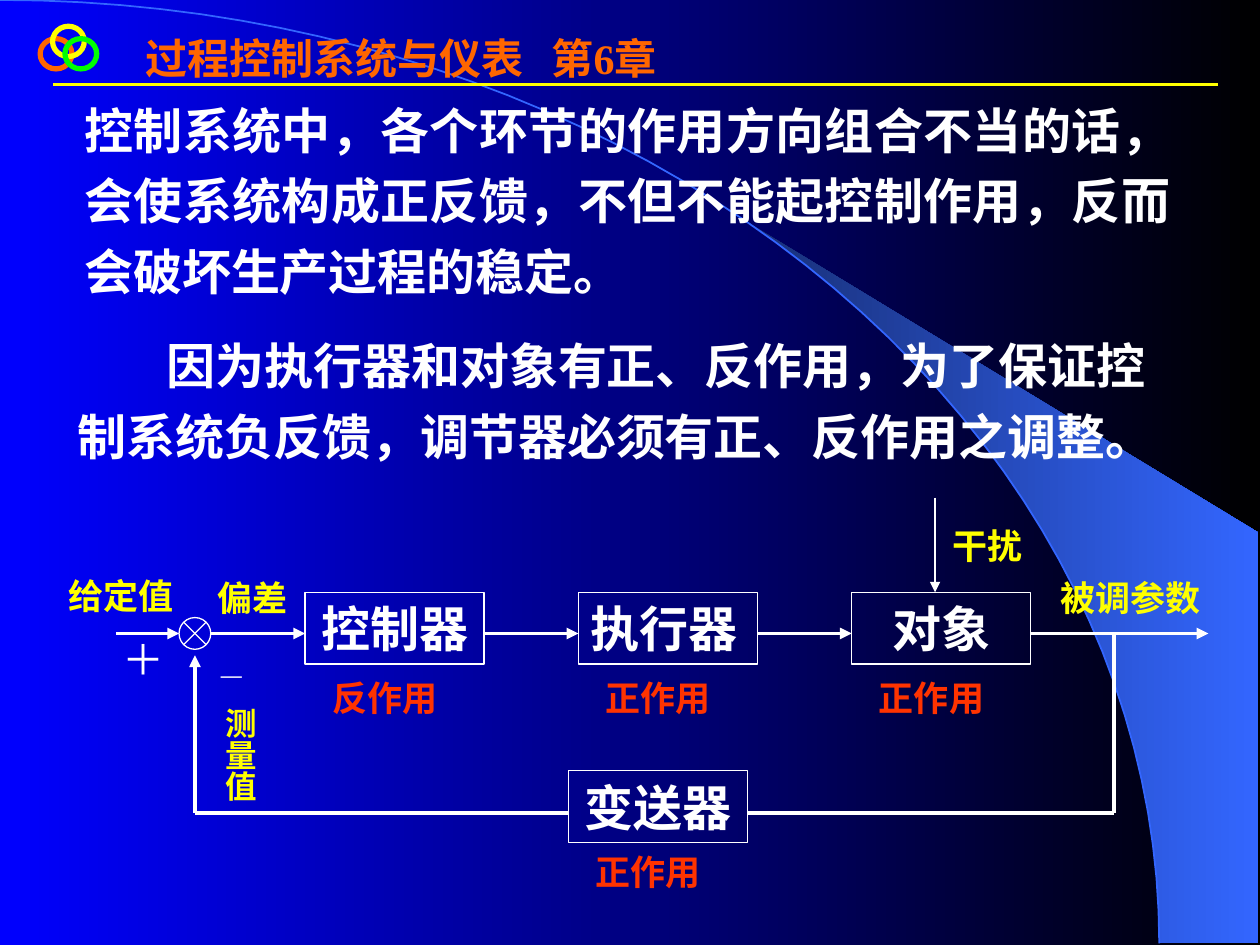
from math import cos, radians, sin

from pptx import Presentation
from pptx.dml.color import RGBColor
from pptx.enum.shapes import MSO_CONNECTOR, MSO_SHAPE as SHAPE
from pptx.enum.text import MSO_ANCHOR, PP_ALIGN as ALIGN
from pptx.oxml.ns import qn
from pptx.util import Cm, Pt

WHITE, YELLOW, RED, ORANGE = "FFFFFF", "FFFF00", "FF3300", "FF6600"
BLUE, NAVY, GREEN = "3366FF", "182F76", "00FF00"


def rgb(code):
    return RGBColor.from_string(code)


def set_gradient(fill, colors):
    fill.gradient()
    fill.gradient_angle = 0
    for stop, color in zip(fill.gradient_stops, colors):
        stop.color.rgb = rgb(color)


def set_line(sp, color, width):
    sp.line.color.rgb = rgb(color)
    sp.line.width = Pt(width)


def write(sp, text, size, color, align=ALIGN.LEFT, bold=True, spacing=None, wrap=True):
    tf = sp.text_frame
    frame = {"word_wrap": wrap, "vertical_anchor": MSO_ANCHOR.TOP,
             "margin_left": Cm(0.25), "margin_right": Cm(0.25),
             "margin_top": Cm(0.13), "margin_bottom": Cm(0.13)}
    for name, value in frame.items():
        setattr(tf, name, value)
    p = tf.paragraphs[0]
    p.alignment = align
    p.line_spacing = spacing
    r = p.add_run()
    r.text = text
    for name, value in {"name": "Times New Roman", "size": Pt(size), "bold": bold}.items():
        setattr(r.font, name, value)
    r.font.color.rgb = rgb(color)
    return p


def add_text(s, x, y, w, h, *args, **kwargs):
    sp = s.shapes.add_textbox(Cm(x), Cm(y), Cm(w), Cm(h))
    write(sp, *args, **kwargs)
    return sp


def add_outline(s, kind, x, y, w, h, color, width):
    sp = s.shapes.add_shape(kind, Cm(x), Cm(y), Cm(w), Cm(h))
    sp.shadow.inherit = False
    sp.fill.background()
    set_line(sp, color, width)
    return sp


def add_line(s, x1, y1, x2, y2, color=WHITE, width=2.25, arrow=False):
    line = s.shapes.add_connector(MSO_CONNECTOR.STRAIGHT, Cm(x1), Cm(y1), Cm(x2), Cm(y2))
    set_line(line, color, width)
    if arrow:
        ln = line.line._get_or_add_ln()
        ln.append(ln.makeelement(qn("a:tailEnd"), {"type": "triangle"}))
    sp_pr = line._element.spPr
    sp_pr.append(sp_pr.makeelement(qn("a:effectLst"), {}))


def add_freeform(s, points, close):
    points = [(Cm(x), Cm(y)) for x, y in points]
    builder = s.shapes.build_freeform(*points[0])
    builder.add_line_segments(points[1:], close=close)
    sp = builder.convert_to_shape()
    sp.shadow.inherit = False
    return sp


def draw_backdrop(s, x, y, w, h):
    set_gradient(s.background.fill, ("0000FF", "000000"))
    # Quarter ellipse, and a beam that leaves it at 40 degrees
    rx, ry, start = 23.37, h, 40
    arc = [(x + rx * sin(radians(a)), y + ry * (1 - cos(radians(a)))) for a in range(0, 91, 2)]
    beam = add_freeform(s, arc[start // 2:] + [(x + w, y + h), (x + w, y + 10.74)], True)
    set_gradient(beam.fill, (NAVY, BLUE))
    beam.line.fill.background()
    curve = add_freeform(s, arc, False)
    curve.fill.background()
    set_line(curve, BLUE, 1)


def draw_header(s, x, y, w):
    add_line(s, x + 0.26, y + 1.17, x + w, y + 1.17, YELLOW, 1.5)
    title = add_text(s, x + 1.88, y, 11.4, 1.3, "过程控制系统与仪表\t第6章", 24, ORANGE)
    # Tab stop that sets the chapter number apart
    p_pr = title.text_frame.paragraphs[0]._p.get_or_add_pPr()
    tabs = p_pr.makeelement(qn("a:tabLst"), {})
    tabs.append(tabs.makeelement(qn("a:tab"), {"pos": str(Cm(8.18)), "algn": "l"}))
    p_pr.append(tabs)
    # Interlocked rings
    for i, (dy, color) in enumerate([(0.25, ORANGE), (0, YELLOW), (0.25, GREEN)]):
        add_outline(s, SHAPE.OVAL, x + 0.25 * i, y + dy, 0.64, 0.61, color, 3)


def draw_body(s, x, y, w):
    add_text(s, x + 0.13, y, w - 0.48, 4.52,
             "控制系统中，各个环节的作用方向组合不当的话，会使系统构成正反馈，"
             "不但不能起控制作用，反而会破坏生产过程的稳定。",
             28, WHITE, ALIGN.JUSTIFY, spacing=1.2)
    sp = add_text(s, x, y + 4.75, w, 3.1,
                  "因为执行器和对象有正、反作用，为了保证控制系统负反馈，"
                  "调节器必须有正、反作用之调整。", 28, WHITE, spacing=1.2)
    sp.text_frame.paragraphs[0]._p.get_or_add_pPr().set("indent", str(Cm(1.79)))


def draw_loop(s, x, y):
    block_w, block_h, pitch = 3.61, 1.45, 5.51
    first, top, signal, feedback = 5.08, 1.91, 2.74, 6.35
    back_x, sum_x, sum_d, tap = 10.39, 2.54, 0.64, 21.39
    mid = sum_x + sum_d / 2

    # Blocks, each with its direction of action below
    blocks = [("控制器", "反作用", first, top, 1.57, ALIGN.CENTER),
              ("执行器", "正作用", first + pitch, top, 1.57, ALIGN.LEFT),
              ("对象", "正作用", first + 2 * pitch, top, 1.57, ALIGN.CENTER),
              ("变送器", "正作用", back_x, 5.51, 1.47, ALIGN.CENTER)]
    for name, action, bx, by, gap, align in blocks:
        sp = add_outline(s, SHAPE.RECTANGLE, x + bx, y + by, block_w, block_h, WHITE, 0.75)
        write(sp, name, 28, WHITE, align)
        add_text(s, x + bx + 0.3, y + by + gap, 3.2, 1.12, action, 20, RED)
    add_outline(s, SHAPE.FLOWCHART_SUMMING_JUNCTION,
                x + sum_x, y + signal - sum_d / 2, sum_d, sum_d, WHITE, 0.75)

    # Forward path
    starts = [1.27, sum_x + sum_d] + [first + i * pitch + block_w for i in range(3)]
    ends = [sum_x] + [first + i * pitch for i in range(3)] + [23.29]
    for x1, x2 in zip(starts, ends):
        add_line(s, x + x1, y + signal, x + x2, y + signal, arrow=True)

    # Feedback path and disturbance
    add_line(s, x + tap, y + signal, x + tap, y + feedback)
    add_line(s, x + back_x + block_w, y + feedback, x + tap, y + feedback)
    add_line(s, x + back_x, y + feedback, x + mid, y + feedback)
    add_line(s, x + mid, y + feedback, x + mid, y + 3.18, arrow=True)
    add_line(s, x + 17.78, y, x + 17.78, y + top, width=0.75, arrow=True)

    # Signal names
    for text, lx, ly, w in [("给定值", 0, 1.42, 2.74), ("偏差", 2.97, 1.47, 2.11),
                            ("被调参数", 19.91, 1.47, 3.61), ("干扰", 17.78, 0.41, 2.11)]:
        add_text(s, x + lx, y + ly, w, 1.12, text, 20, YELLOW, ALIGN.CENTER)
    sp = add_text(s, x + 3.02, y + 3.99, 1.27, 2.16, "测量值", 18, YELLOW, wrap=False)
    tf = sp.text_frame
    tf.margin_left = tf.margin_right = Cm(0.13)
    tf.margin_top = tf.margin_bottom = Cm(0.25)
    tf._txBody.bodyPr.set("vert", "eaVert")

    # Signs at the summing junction
    add_text(s, x + 1.14, y + 2.62, 1.35, 1.27, "＋", 24, WHITE, ALIGN.CENTER,
             bold=False, wrap=False)
    add_text(s, x + 2.54, y + 3.18, 2.11, 0.76, "—", 12, WHITE, ALIGN.CENTER)


def main():
    prs = Presentation()
    prs.slide_width, prs.slide_height = Cm(25.4), Cm(19.05)
    s = prs.slides.add_slide(prs.slide_layouts[6])
    draw_backdrop(s, 0, 0, 25.37, 19.02)
    draw_header(s, 0.81, 0.53, 23.75)
    draw_body(s, 1.32, 1.65, 22.89)
    draw_loop(s, 1.07, 10.03)
    prs.save("out.pptx")


if __name__ == "__main__":
    main()
